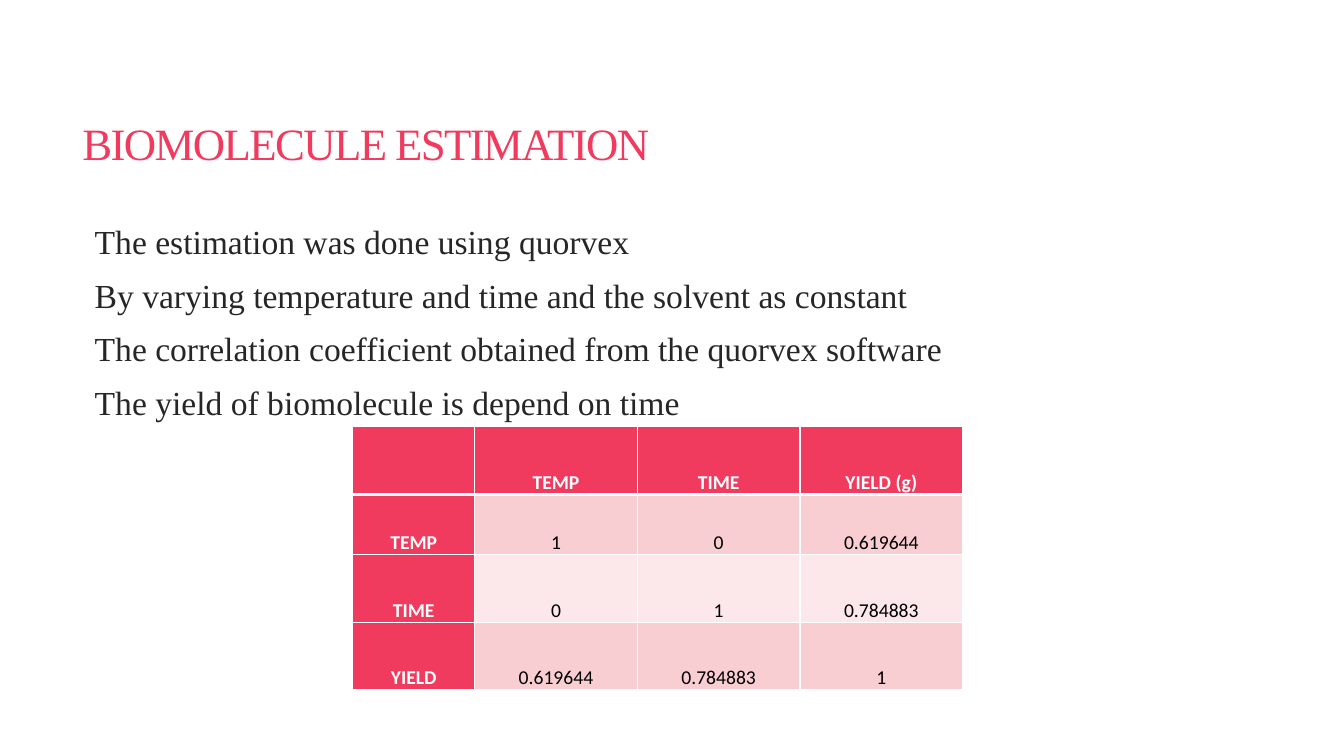
"""Build the biomolecule estimation slide with its correlation table."""
from dataclasses import dataclass

from lxml import etree
from pptx import Presentation
from pptx.dml.color import RGBColor
from pptx.enum import text
from pptx.oxml import ns
from pptx.util import Pt


@dataclass(frozen=True)
class Theme:
    accent: str = "F03B5E"
    body: str = "262626"
    white: str = "FFFFFF"
    black: str = "000000"
    bands: tuple = ("F9CED2", "FCE8EA")
    serif: str = "Times New Roman"
    sans: str = "Calibri"
    title_size: int = 32
    body_size: int = 24
    table_size: int = 14


theme = Theme()


def format_runs(paragraph, font_name, size, color, bold=False):
    for run in paragraph.runs:
        run.font.name = font_name
        run.font.size = Pt(size)
        run.font.bold = bold
        run.font.color.rgb = RGBColor.from_string(color)


def add_border(cell, side, width):
    properties = cell._tc.get_or_add_tcPr()
    line = etree.SubElement(properties, ns.qn(f"a:ln{side}"), w=str(Pt(width)))
    fill = etree.SubElement(line, ns.qn("a:solidFill"))
    etree.SubElement(fill, ns.qn("a:srgbClr"), val=theme.white)


presentation = Presentation()
presentation.slide_width = Pt(960)
presentation.slide_height = Pt(540)
slide = presentation.slides.add_slide(presentation.slide_layouts[6])

title = slide.shapes.add_textbox(Pt(51.8), Pt(39.6), Pt(848.2), Pt(130.3))
title.text_frame.word_wrap = True
title.text_frame.vertical_anchor = text.MSO_ANCHOR.MIDDLE
title.text_frame.text = "BIOMOLECULE ESTIMATION"
heading = title.text_frame.paragraphs[0]
heading.line_spacing = 0.85
format_runs(heading, theme.serif, theme.title_size, theme.accent)
heading.runs[0].font._element.set("spc", "-120")

statements = [
    "The estimation was done using quorvex",
    "By varying temperature and time and the solvent as constant",
    "The correlation coefficient obtained from the quorvex software",
    "The yield of biomolecule is depend on time",
]
body = slide.shapes.add_textbox(Pt(53.3), Pt(158.4), Pt(846.7), Pt(296.6))
body.text_frame.word_wrap = True
body.text_frame.margin_left = Pt(14.4)
body.text_frame.text = "\n".join(statements)
for paragraph in body.text_frame.paragraphs:
    paragraph.line_spacing = 0.85
    paragraph.space_before = Pt(12)
    paragraph.space_after = Pt(2)
    format_runs(paragraph, theme.serif, theme.body_size, theme.body)

correlations = [
    ["", "TEMP", "TIME", "YIELD (g)"],
    ["TEMP", "1", "0", "0.619644"],
    ["TIME", "0", "1", "0.784883"],
    ["YIELD", "0.619644", "0.784883", "1"],
]
column_widths = [87.1, 116.2, 116.2, 116.2]
row_heights = [48.5, 42.7, 48.5, 48.5]
table = slide.shapes.add_table(
    len(row_heights), len(column_widths), Pt(252), Pt(304.8),
    Pt(sum(column_widths)), Pt(sum(row_heights))).table
for column, width in zip(table.columns, column_widths):
    column.width = Pt(width)
for row, height in zip(table.rows, row_heights):
    row.height = Pt(height)

for row_index, values in enumerate(correlations):
    for column_index, value in enumerate(values):
        cell = table.cell(row_index, column_index)
        is_header = row_index == 0 or column_index == 0
        cell.text_frame.text = value
        cell.vertical_anchor = text.MSO_ANCHOR.BOTTOM
        cell.margin_left = cell.margin_right = Pt(5)
        cell.margin_top = cell.margin_bottom = 0
        paragraph = cell.text_frame.paragraphs[0]
        paragraph.alignment = text.PP_ALIGN.CENTER
        paragraph.line_spacing = 1.15
        color = theme.white if is_header else theme.black
        format_runs(paragraph, theme.sans, theme.table_size, color, is_header)
        add_border(cell, "L", 1)
        add_border(cell, "R", 1)
        add_border(cell, "T", 3 if row_index == 1 else 1)
        add_border(cell, "B", 3 if row_index == 0 else 1)
        cell.fill.solid()
        band = theme.bands[(row_index - 1) % 2]
        cell.fill.fore_color.rgb = RGBColor.from_string(
            theme.accent if is_header else band)

presentation.save("out.pptx")
